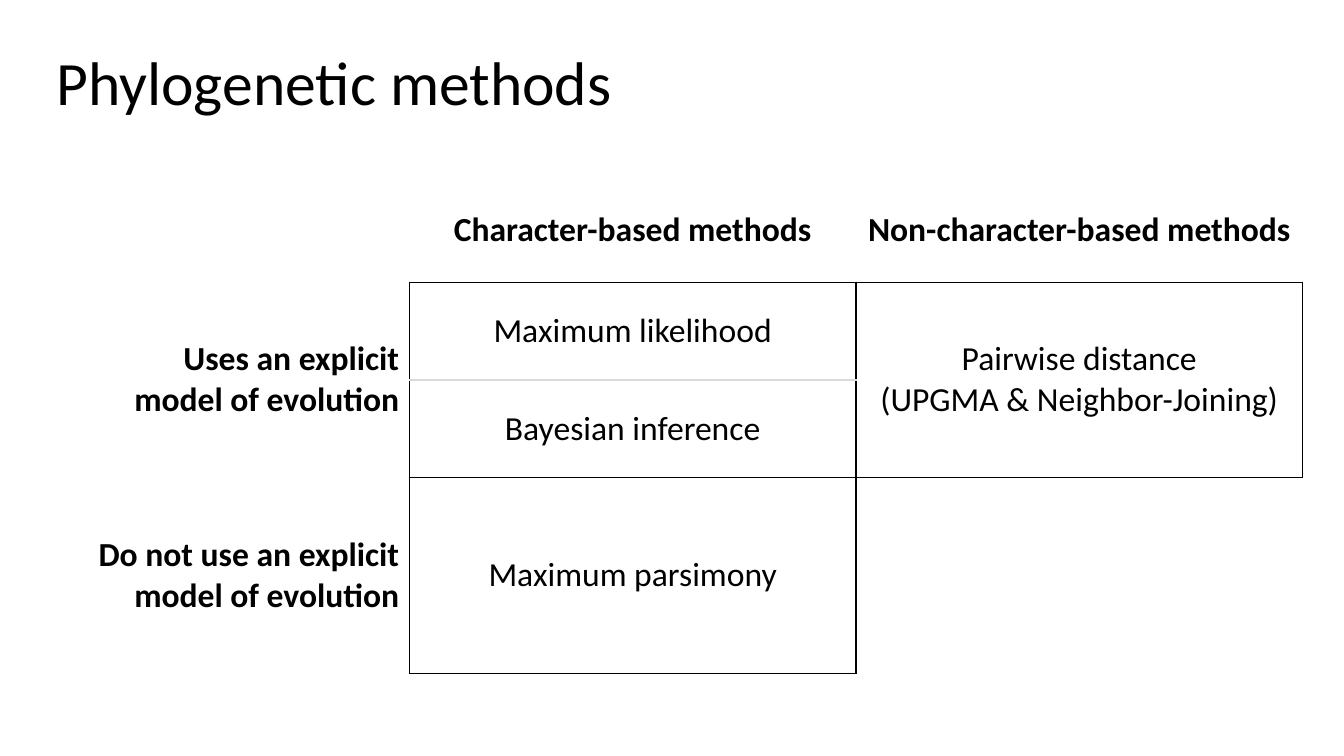
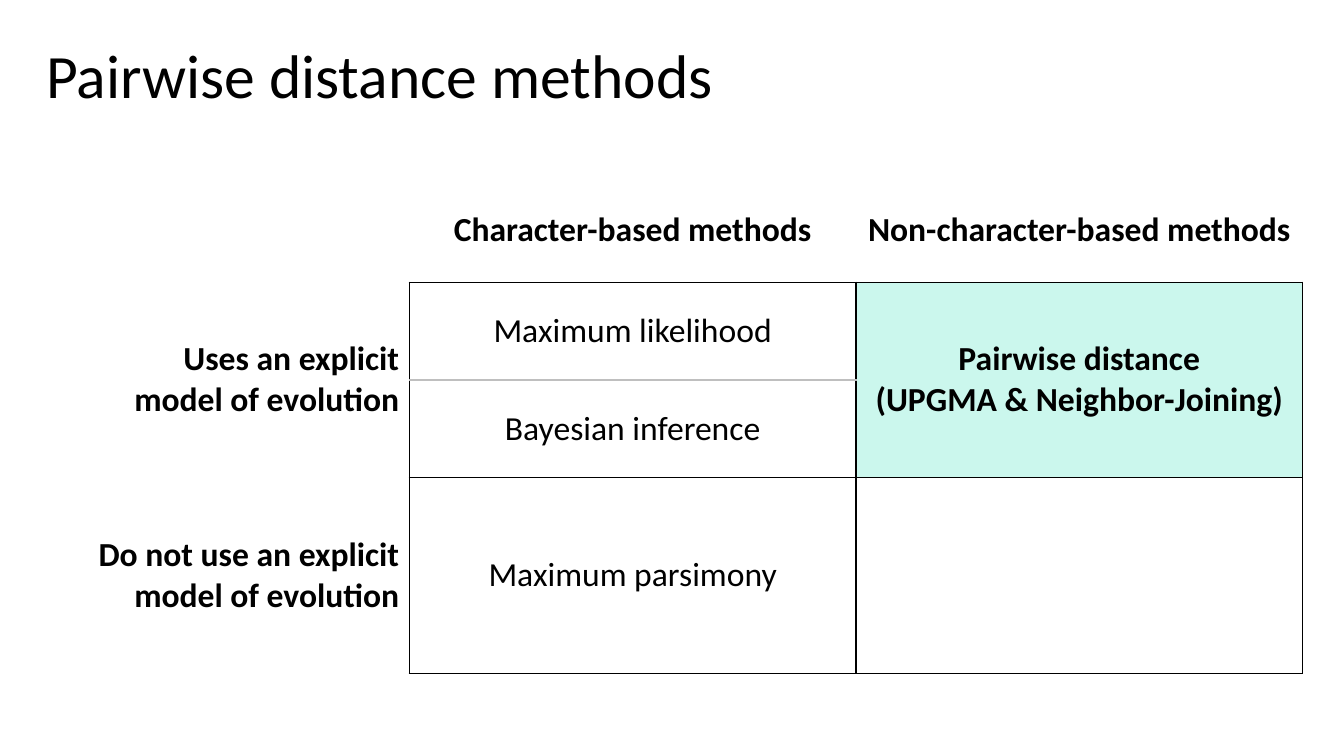
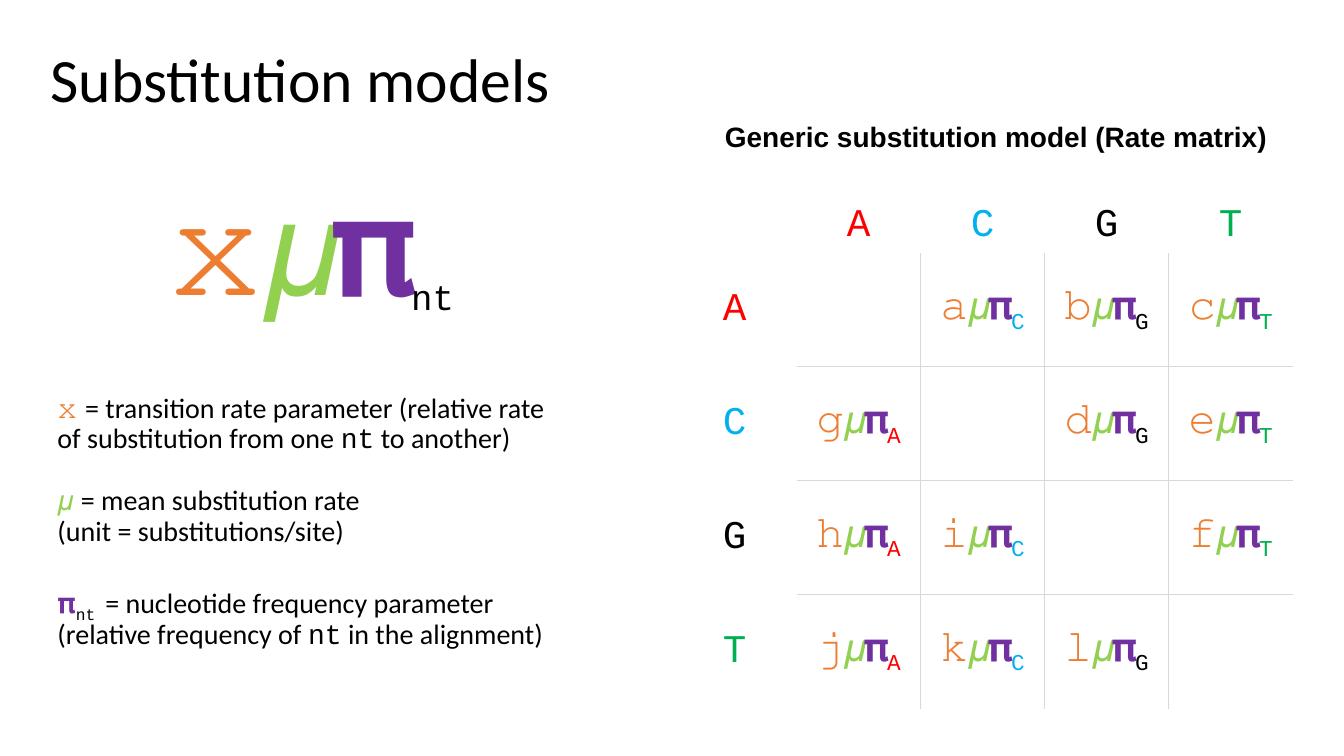
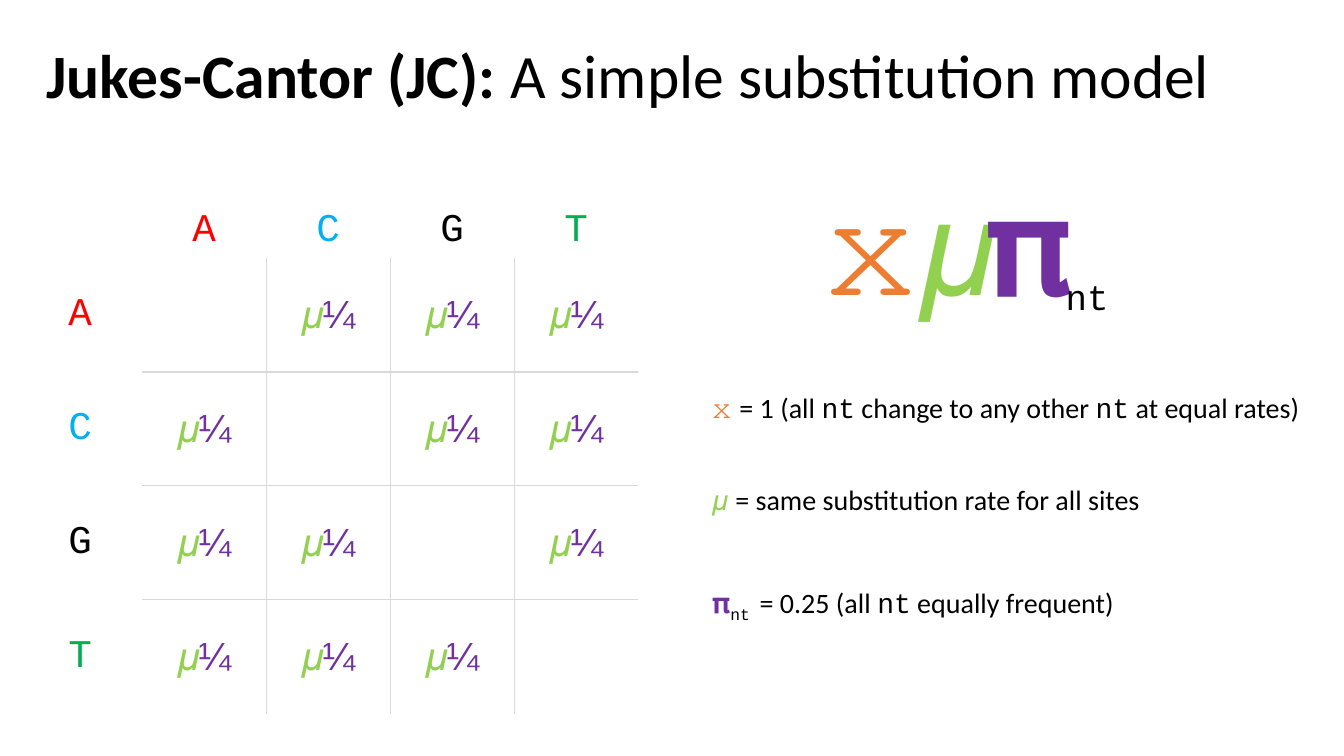
"""Build four slides on phylogenetic methods and substitution models."""
from lxml.etree import SubElement
from pptx import Presentation
from pptx.dml.color import RGBColor
from pptx.enum.text import MSO_ANCHOR as Anchor, MSO_AUTO_SIZE as AutoSize, PP_ALIGN as Align
from pptx.oxml import parse_xml
from pptx.oxml.ns import nsdecls, qn
from pptx.util import Inches, Pt

BLACK = RGBColor(0x00, 0x00, 0x00)
LIGHT_GRAY = RGBColor(0xD9, 0xD9, 0xD9)
MID_GRAY = RGBColor(0xBF, 0xBF, 0xBF)
MINT = RGBColor(0xCB, 0xF7, 0xED)
ORANGE = RGBColor(0xED, 0x7D, 0x31)
LIME = RGBColor(0x92, 0xD0, 0x50)
PURPLE = RGBColor(0x70, 0x30, 0xA0)
RED = RGBColor(0xFF, 0x00, 0x00)
BLUE = RGBColor(0x00, 0xB0, 0xF0)
GREEN = RGBColor(0x00, 0xB0, 0x50)

NUCLEOTIDES = {"A": RED, "C": BLUE, "G": BLACK, "T": GREEN}
NO_TABLE_STYLE = "{2D5ABB26-0587-4C30-8999-92F81FD0307C}"
STYLES = {
    "plain": {"name": "Calibri"},
    "bold": {"name": "Calibri", "bold": True},
    "heading": {"name": "Arial", "bold": True},
    "code": {"name": "Courier New"},
    "index": {"name": "Courier New", "subscript": True},
    "rate": {"name": "Arial", "color": ORANGE},
    "mean": {"name": "Arial", "color": LIME},
    "frequency": {"name": "Arial", "color": PURPLE},
}


def add_run(paragraph, text, style, size, **changes):
    values = {"color": BLACK, "subscript": False, "bold": False, "size": Pt(size)}
    values.update(STYLES[style], **changes)
    run = paragraph.add_run()
    run.text = text
    run.font.color.rgb = values.pop("color")
    if values.pop("subscript"):
        run.font._element.set("baseline", "-25000")
    for attribute, value in values.items():
        setattr(run.font, attribute, value)


def set_borders(cell, colors):
    properties = cell._tc.get_or_add_tcPr()
    sides = [side for side in "LRTB" if side in colors]
    for position, side in enumerate(sides):
        line = parse_xml(f'<a:ln{side} {nsdecls("a")} w="12700"/>')
        fill = SubElement(line, qn("a:solidFill"))
        SubElement(fill, qn("a:srgbClr")).set("val", str(colors[side]))
        properties.insert(position, line)


presentation = Presentation()
presentation.slide_width = Inches(13.33)
presentation.slide_height = Inches(7.5)

method_grid = ([3.6, 4.43, 4.43], [1.03, 0.97, 0.97, 1.94])
matrix_grid = ([1.23] * 5, [1.13] * 5)
slide_plans = [
    ([("Phylogenetic methods", "plain")], (0.46, 0.47, 11.95), (0.46, 1.77), method_grid),
    ([("Pairwise distance methods", "plain")], (0.36, 0.4, 12.65), (0.46, 1.77), method_grid),
    ([("Substitution models", "plain")], (0.4, 0.44, 6.31), (6.67, 1.38), matrix_grid),
    ([("Jukes-Cantor (JC): ", "bold"), ("A simple substitution model", "plain")],
     (0.36, 0.4, 12.65), (0.18, 1.43), matrix_grid),
]
slides, tables = [], []
for title_runs, (left, top, width), table_corner, (columns, rows) in slide_plans:
    slide = presentation.slides.add_slide(presentation.slide_layouts[5])
    title = slide.shapes.title
    title.left, title.top = Inches(left), Inches(top)
    title.width, title.height = Inches(width), Inches(0.76)
    title.text_frame.vertical_anchor = Anchor.MIDDLE
    title.text_frame.auto_size = AutoSize.NONE
    paragraph = title.text_frame.paragraphs[0]
    paragraph.alignment = Align.LEFT
    paragraph.line_spacing = 0.9
    for text, style in title_runs:
        add_run(paragraph, text, style, 44)

    table = slide.shapes.add_table(
        len(rows), len(columns), *map(Inches, table_corner),
        Inches(sum(columns)), Inches(sum(rows))).table
    table.first_row = table.horz_banding = False
    table._tbl.tblPr.find(qn("a:tableStyleId")).text = NO_TABLE_STYLE
    for column, width in zip(table.columns, columns):
        column.width = Inches(width)
    for row, height in zip(table.rows, rows):
        row.height = Inches(height)
    for cell in table.iter_cells():
        cell.fill.background()
        cell.vertical_anchor = Anchor.MIDDLE
    slides.append(slide)
    tables.append(table)

method_texts = {
    (0, 1): "Character-based methods",
    (0, 2): "Non-character-based methods",
    (1, 0): "Uses an explicit\nmodel of evolution",
    (1, 1): "Maximum likelihood",
    (1, 2): "Pairwise distance\n(UPGMA & Neighbor-Joining)",
    (2, 1): "Bayesian inference",
    (3, 0): "Do not use an explicit\nmodel of evolution",
    (3, 1): "Maximum parsimony",
}
for table, divider, highlighted in [(tables[0], LIGHT_GRAY, False), (tables[1], MID_GRAY, True)]:
    for column in (0, 2):
        table.cell(1, column).merge(table.cell(2, column))
    for (row, column), text in method_texts.items():
        cell = table.cell(row, column)
        strong = 0 in (row, column) or (highlighted and (row, column) == (1, 2))
        for number, line_text in enumerate(text.split("\n")):
            frame = cell.text_frame
            paragraph = frame.add_paragraph() if number else frame.paragraphs[0]
            paragraph.alignment = Align.CENTER if column else Align.RIGHT
            add_run(paragraph, line_text, "bold" if strong else "plain", 24)
    if highlighted:
        table.cell(1, 2).fill.solid()
        table.cell(1, 2).fill.fore_color.rgb = MINT
    for row in range(1, 4):
        set_borders(table.cell(row, 0), {"R": BLACK})
        set_borders(table.cell(row, 1), {
            "L": BLACK, "R": BLACK,
            "T": divider if row == 2 else BLACK, "B": divider if row == 1 else BLACK})
    for column in (1, 2):
        set_borders(table.cell(0, column), {"B": BLACK})
    for row, sides in [(1, "LRTB"), (2, "LRB"), (3, "LRTB" if highlighted else "LT")]:
        set_borders(table.cell(row, 2), dict.fromkeys(sides, BLACK))

rate_letters = iter("𝚊𝚋𝚌𝚐𝚍𝚎𝚑𝚒𝚏𝚓𝚔𝚕")
for table, generic in [(tables[2], True), (tables[3], False)]:
    for row, (source, source_color) in enumerate(NUCLEOTIDES.items(), 1):
        for header in (table.cell(0, row), table.cell(row, 0)):
            paragraph = header.text_frame.paragraphs[0]
            paragraph.alignment = Align.CENTER
            add_run(paragraph, source, "code", 28, color=source_color)
        table.cell(0, row).vertical_anchor = Anchor.BOTTOM
        for column, (target, target_color) in enumerate(NUCLEOTIDES.items(), 1):
            cell = table.cell(row, column)
            inner_sides = {"L": column > 1, "R": column < 4, "T": row > 1, "B": row < 4}
            set_borders(cell, {side: LIGHT_GRAY for side, inner in inner_sides.items() if inner})
            if row == column:
                continue
            paragraph = cell.text_frame.paragraphs[0]
            paragraph.alignment = Align.CENTER
            if generic:
                add_run(paragraph, next(rate_letters), "rate", 28)
            add_run(paragraph, "𝜇", "mean", 28)
            add_run(paragraph, "𝛑" if generic else "¼", "frequency", 28)
            if generic:
                add_run(paragraph, target, "index", 28, color=target_color)

formula = [("𝚡", "rate", 96), ("𝜇", "mean", 96), ("𝛑", "frequency", 96), ("nt", "index", 44)]
text_boxes = [
    (slides[2], (0.53, 3.86, 5.11, 0.72), Align.LEFT, [
        ("𝚡 ", "rate", 20),
        ("= transition rate parameter (relative rate of substitution from one ", "plain", 20),
        ("nt", "code", 20), (" to another)", "plain", 20)]),
    (slides[2], (0.53, 4.78, 3.33, 0.72), Align.LEFT, [
        ("𝜇 ", "mean", 20),
        ("= mean substitution rate (unit = substitutions/site)", "plain", 20)]),
    (slides[2], (0.53, 5.76, 5, 0.72), Align.LEFT, [
        ("𝛑", "frequency", 20), ("nt ", "index", 20),
        ("= nucleotide frequency parameter (relative frequency of ", "plain", 20),
        ("nt", "code", 20), (" in the alignment)", "plain", 20)]),
    (slides[2], (6.96, 1.17, 5.84, 0.41), Align.CENTER, [
        ("Generic substitution model (Rate matrix)", "heading", 20)]),
    (slides[2], (1.19, 1.73, 3.8, 1.56), Align.CENTER, formula),
    (slides[3], (7.68, 1.73, 3.8, 1.56), Align.CENTER, formula),
    (slides[3], (7.02, 3.86, 5.98, 0.41), Align.LEFT, [
        ("𝚡 ", "rate", 20), ("= 1 (all ", "plain", 20), ("nt", "code", 20),
        (" change to any other ", "plain", 20), ("nt", "code", 20),
        (" at equal rates)", "plain", 20)]),
    (slides[3], (7.02, 4.78, 5.12, 0.41), Align.LEFT, [
        ("𝜇 ", "mean", 20), ("= same substitution rate for all sites", "plain", 20)]),
    (slides[3], (7.02, 5.76, 5.98, 0.41), Align.LEFT, [
        ("𝛑", "frequency", 20), ("nt ", "index", 20), ("= 0.25 (all ", "plain", 20),
        ("nt", "code", 20), (" equally frequent)", "plain", 20)]),
]
frame_format = {
    "word_wrap": True, "auto_size": AutoSize.SHAPE_TO_FIT_TEXT,
    "margin_left": Inches(0.04), "margin_right": Inches(0.04),
    "margin_top": Inches(0.05), "margin_bottom": Inches(0.05),
}
for slide, box, alignment, runs in text_boxes:
    frame = slide.shapes.add_textbox(*map(Inches, box)).text_frame
    for attribute, value in frame_format.items():
        setattr(frame, attribute, value)
    paragraph = frame.paragraphs[0]
    paragraph.alignment = alignment
    paragraph.line_spacing = 0.9
    for text, style, size in runs:
        add_run(paragraph, text, style, size)

presentation.save("out.pptx")
